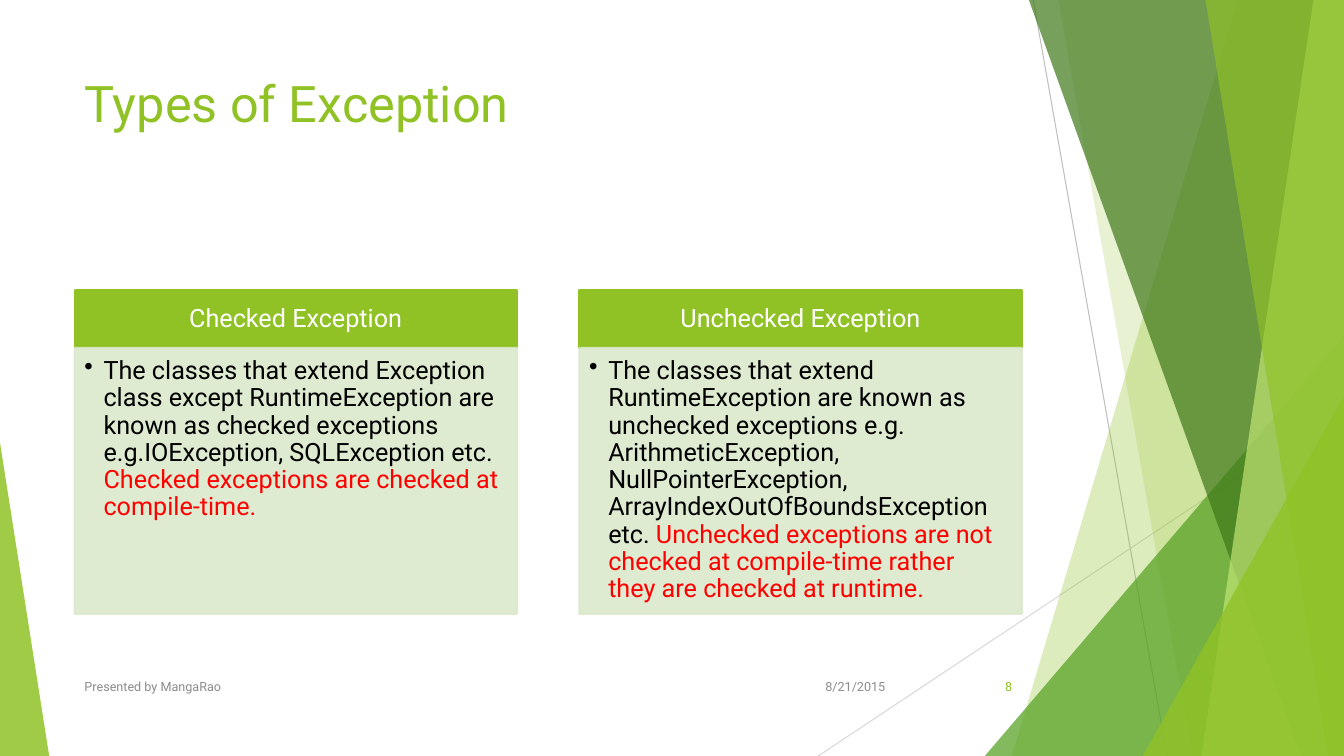
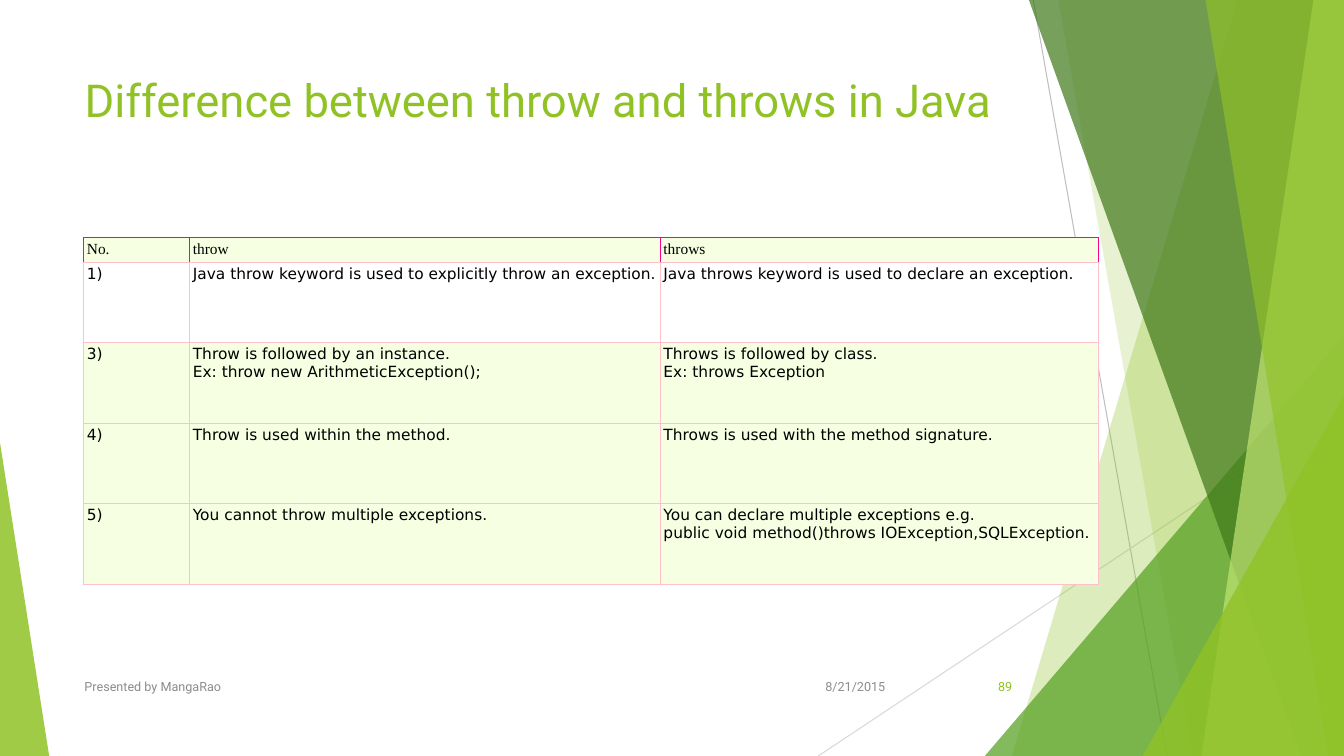
"""Build two slides on Java exceptions with a shared faceted green layout."""
from dataclasses import dataclass

from lxml.etree import SubElement
from pptx import Presentation
from pptx.dml.color import RGBColor
from pptx.enum.shapes import MSO_CONNECTOR, MSO_SHAPE
from pptx.enum.text import MSO_ANCHOR, MSO_AUTO_SIZE, PP_ALIGN
from pptx.oxml.ns import qn
from pptx.util import Cm, Pt


@dataclass(frozen=True)
class Theme:
    """Colours, fonts and type sizes."""
    font: str = "Roboto"
    table_font: str = "DejaVu Sans"
    table_head_font: str = "Times New Roman"
    green: str = "90C226"
    mid_green: str = "54A021"
    dark_green: str = "3F7819"
    lime: str = "C0E474"
    pale_green: str = "DBE9CD"
    table_tint: str = "F6FFE1"
    white: str = "FFFFFF"
    black: str = "000000"
    red: str = "FF0000"
    gray: str = "8C8C8C"
    line_gray: str = "BFBFBF"
    line_pale: str = "D9D9D9"
    pink: str = "FFC0CB"
    magenta: str = "F8058E"
    title_size: float = 36
    long_title_size: float = 32.4
    card_size: float = 18
    table_size: float = 11
    footer_size: float = 9
    card_line: float = 1.5
    thin_line: float = 0.75
    cell_line: float = 0.6


THEME = Theme()
WIDTH, HEIGHT = 33.87, 19.05
MARGIN = 1.88

CARDS = [
    ("Checked Exception",
     "The classes that extend Exception class except RuntimeException are known as "
     "checked exceptions e.g.IOException, SQLException etc. ",
     "Checked exceptions are checked at compile-time."),
    ("Unchecked Exception",
     "The classes that extend RuntimeException are known as unchecked exceptions e.g. "
     "ArithmeticException, NullPointerException, ArrayIndexOutOfBoundsException etc. ",
     "Unchecked exceptions are not checked at compile-time rather they are checked at runtime."),
]

KEYWORD_ROWS = [
    ("No.", "throw", "throws"),
    ("1)", "Java throw keyword is used to explicitly throw an exception.",
     "Java throws keyword is used to declare an exception."),
    ("3)", "Throw is followed by an instance.\nEx: throw new ArithmeticException();",
     "Throws is followed by class.\nEx: throws Exception"),
    ("4)", "Throw is used within the method.", "Throws is used with the method signature."),
    ("5)", "You cannot throw multiple exceptions.",
     "You can declare multiple exceptions e.g.\v"
     "public void method()throws IOException,SQLException."),
]


def rgb(value):
    """Turn a hex string into a colour."""
    return RGBColor.from_string(value)


def set_font(font, size, color=None, name=THEME.font):
    """Set size, typeface and, if given, colour."""
    font.size, font.name = Pt(size), name
    if color:
        font.color.rgb = rgb(color)


def set_insets(frame, left, top, right, bottom):
    """Set the four inner margins in centimetres."""
    frame.margin_left, frame.margin_top = Cm(left), Cm(top)
    frame.margin_right, frame.margin_bottom = Cm(right), Cm(bottom)


def paint(sp, color, opacity=100, outline=0):
    """Fill a shape, with an outline of the same colour where wanted."""
    sp.shadow.inherit = False
    sp.fill.solid()
    sp.fill.fore_color.rgb = rgb(color)
    if outline:
        sp.line.color.rgb = rgb(color)
        sp.line.width = Pt(outline)
    else:
        sp.line.fill.background()
    if opacity < 100:
        for clr in sp.element.iter(qn("a:srgbClr")):
            SubElement(clr, qn("a:alpha"), val=str(opacity * 1000))


def add_line(shapes, x1, y1, x2, y2, color):
    """Draw a thin straight line."""
    line = shapes.add_connector(MSO_CONNECTOR.STRAIGHT, Cm(x1), Cm(y1), Cm(x2), Cm(y2))
    line.line.color.rgb = rgb(color)
    line.line.width = Pt(THEME.thin_line)
    SubElement(line.element.spPr, qn("a:effectLst"))
    return line


def add_panel(shapes, top_x, bottom_x, color, opacity):
    """Draw a full-height panel from a slanted edge to the right side."""
    builder = shapes.build_freeform(Cm(top_x), 0)
    corners = [(WIDTH, 0), (WIDTH, HEIGHT), (bottom_x, HEIGHT)]
    builder.add_line_segments([(Cm(x), Cm(y)) for x, y in corners], close=True)
    sp = builder.convert_to_shape()
    paint(sp, color, opacity)
    return sp


def add_triangle(shapes, x, y, width, apex, color, opacity):
    """Draw a triangle standing on the bottom edge."""
    sp = shapes.add_shape(MSO_SHAPE.ISOSCELES_TRIANGLE,
                          Cm(x), Cm(y), Cm(width), Cm(HEIGHT - y))
    sp.adjustments[0] = apex
    paint(sp, color, opacity)
    return sp


def decorate_layout(layout, slide):
    """Draw the facets and hand them to the layout that all slides share."""
    for ph in list(layout.placeholders):
        if ph.placeholder_format.idx != 0:
            layout.shapes.element.remove(ph.element)
    shapes = slide.shapes
    facets = [
        add_line(shapes, 26.04, 0, 29.41, HEIGHT, THEME.line_gray),
        add_line(shapes, WIDTH, 10.24, 20.62, HEIGHT, THEME.line_pale),
        add_panel(shapes, 31.19, 25.5, THEME.green, 30),
        add_panel(shapes, 26.67, 30.05, THEME.green, 20),
        add_triangle(shapes, 24.82, 8.46, 9.05, 1, THEME.mid_green, 72),
        add_panel(shapes, 25.93, 32.79, THEME.dark_green, 70),
        add_panel(shapes, 33.1, 30.28, THEME.lime, 70),
        add_panel(shapes, 30.38, 33.48, THEME.green, 65),
        add_triangle(shapes, 28.8, 9.98, 5.07, 1, THEME.green, 80),
        add_triangle(shapes, 0, 11.15, 1.24, 0, THEME.green, 85),
    ]
    for sp in facets:
        layout.shapes.element.append(sp.element)


def set_title(slide, text, size):
    """Place and format the title placeholder."""
    title = slide.shapes.title
    title.left, title.top = Cm(MARGIN), Cm(1.7)
    title.width, title.height = Cm(23.88), Cm(3.66)
    tf = title.text_frame
    tf.text = text
    tf.word_wrap, tf.auto_size = True, MSO_AUTO_SIZE.NONE
    tf.vertical_anchor = MSO_ANCHOR.TOP
    p = tf.paragraphs[0]
    p.alignment = PP_ALIGN.LEFT
    set_font(p.font, size, THEME.green)


def add_footer(slide, number):
    """Add the date, the presenter and the slide number."""
    items = [
        ("8/21/2015", 20.02, 2.54, PP_ALIGN.RIGHT, THEME.gray),
        ("Presented by MangaRao", MARGIN, 17.5, PP_ALIGN.LEFT, THEME.gray),
        (str(number), 23.85, 1.91, PP_ALIGN.RIGHT, THEME.green),
    ]
    for text, x, width, align, color in items:
        tf = slide.shapes.add_textbox(Cm(x), Cm(16.79), Cm(width), Cm(1.02)).text_frame
        tf.text = text
        tf.word_wrap, tf.vertical_anchor = True, MSO_ANCHOR.MIDDLE
        p = tf.paragraphs[0]
        p.alignment = align
        set_font(p.font, THEME.footer_size, color)


def add_box(slide, x, y, height, color, opacity, anchor, align):
    """Add one card part and return its text frame and first paragraph."""
    sp = slide.shapes.add_shape(MSO_SHAPE.RECTANGLE, Cm(x), Cm(y), Cm(11.15), Cm(height))
    paint(sp, color, opacity, THEME.card_line)
    tf = sp.text_frame
    tf.word_wrap, tf.vertical_anchor = True, anchor
    p = tf.paragraphs[0]
    p.alignment, p.line_spacing = align, 0.9
    return tf, p


def add_card(slide, x, heading, text, emphasis):
    """Add a heading bar above a bulleted body."""
    tf, p = add_box(slide, x, 7.32, 1.45, THEME.green, 100, MSO_ANCHOR.MIDDLE, PP_ALIGN.CENTER)
    set_insets(tf, 0.36, 0.2, 0.36, 0.2)
    p.text = heading
    set_font(p.font, THEME.card_size, THEME.white)

    tf, p = add_box(slide, x, 8.77, 6.7, THEME.pale_green, 90, MSO_ANCHOR.TOP, PP_ALIGN.LEFT)
    set_insets(tf, 0.25, 0.25, 0.36, 0.41)
    set_font(p.font, THEME.card_size)
    for part, color in ((text, THEME.black), (emphasis, THEME.red)):
        r = p.add_run()
        r.text = part
        r.font.color.rgb = rgb(color)
    add_bullet(p, Cm(0.48))


def add_bullet(p, indent):
    """Give a paragraph a hanging round bullet."""
    pPr = p._p.get_or_add_pPr()
    pPr.set("marL", str(indent))
    pPr.set("indent", str(-indent))
    bullet = pPr.makeelement(qn("a:buChar"), {"char": "•"})
    pPr.find(qn("a:defRPr")).addprevious(bullet)


def set_borders(cell, color, bottom_color):
    """Draw the four borders of a cell."""
    tcPr = cell._tc.get_or_add_tcPr()
    for side in "LRTB":
        ln = SubElement(tcPr, qn(f"a:ln{side}"), w=str(Pt(THEME.cell_line)))
        fill = SubElement(ln, qn("a:solidFill"))
        SubElement(fill, qn("a:srgbClr"), val=bottom_color if side == "B" else color)


def format_cell(cell, text, row):
    """Fill in a cell according to its row."""
    header = row == 0
    set_borders(cell, THEME.magenta if header else THEME.pink, THEME.pink)
    cell.fill.solid()
    cell.fill.fore_color.rgb = rgb(THEME.white if row == 1 else THEME.table_tint)
    set_insets(cell, 0.08, 0.08, 0.08, 0.08)
    cell.text = text
    for p in cell.text_frame.paragraphs:
        set_font(p.font, THEME.table_size, THEME.black,
                 THEME.table_head_font if header else THEME.table_font)


def add_keyword_table(slide):
    """Add the table comparing the two keywords."""
    widths = (2.67, 11.86, 11.05)
    heights = [0.61] + [2.03] * (len(KEYWORD_ROWS) - 1)
    table = slide.shapes.add_table(len(heights), len(widths), Cm(2.11), Cm(5.99),
                                   Cm(sum(widths)), Cm(sum(heights))).table
    table.first_row = table.horz_banding = False
    for column, width in zip(table.columns, widths):
        column.width = Cm(width)
    for i, (height, texts) in enumerate(zip(heights, KEYWORD_ROWS)):
        table.rows[i].height = Cm(height)
        for j, text in enumerate(texts):
            format_cell(table.cell(i, j), text, i)


def main():
    """Build and save the presentation."""
    prs = Presentation()
    prs.slide_width, prs.slide_height = Cm(WIDTH), Cm(HEIGHT)
    layout = prs.slide_layouts.get_by_name("Title Only")

    s = prs.slides.add_slide(layout)
    decorate_layout(layout, s)
    set_title(s, "Types of Exception", THEME.title_size)
    for i, card in enumerate(CARDS):
        add_card(s, MARGIN + i * 12.72, *card)
    add_footer(s, 8)

    s = prs.slides.add_slide(layout)
    set_title(s, "Difference between throw and throws in Java", THEME.long_title_size)
    add_keyword_table(s)
    add_footer(s, 89)

    prs.save("out.pptx")


main()
